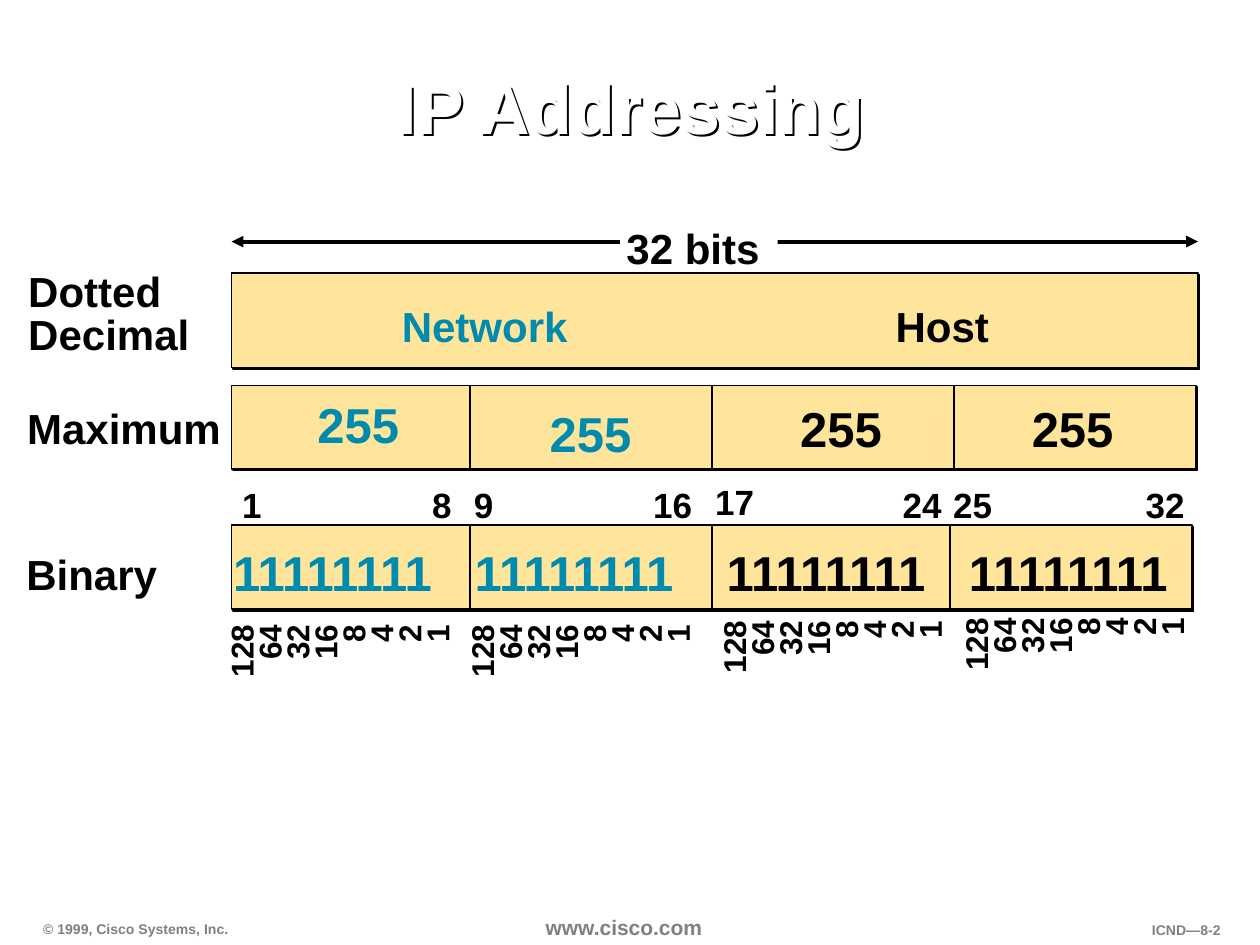
"""Build the IP Addressing slide with its 32-bit address diagram."""
import dataclasses

import lxml.etree
import pptx
import pptx.dml.color
import pptx.enum.shapes
import pptx.enum.text
import pptx.oxml.ns
import pptx.util

Cm, Pt = pptx.util.Cm, pptx.util.Pt
ALIGN, ANCHOR = pptx.enum.text.PP_ALIGN, pptx.enum.text.MSO_ANCHOR
qn = pptx.oxml.ns.qn


@dataclasses.dataclass(frozen=True)
class Theme:
    font: str = "Arial"
    ink: str = "000000"
    paper: str = "FFFFFF"
    network: str = "008AAE"
    cell: str = "FFE59B"
    footer: str = "808080"
    title_size: int = 40
    octet_size: int = 28
    label_size: int = 24
    bit_size: int = 20
    weight_size: int = 18
    url_size: int = 12
    footer_size: int = 8


T = Theme()


def rgb(color):
    return pptx.dml.color.RGBColor.from_string(color)


def add_shadow(sp, points):
    effects = lxml.etree.SubElement(sp._element.spPr, qn("a:effectLst"))
    shadow = lxml.etree.SubElement(effects, qn("a:outerShdw"),
                                   dist=str(Pt(points)), dir="2700000", algn="ctr", rotWithShape="0")
    lxml.etree.SubElement(shadow, qn("a:srgbClr"), val=T.ink)


def add_text(s, text, box, size, color=T.ink, align=ALIGN.LEFT, anchor=ANCHOR.TOP,
             spacing=None, inset=(0.13, 0.2), wrap=False, rotation=0):
    sp = s.shapes.add_textbox(*map(Cm, box))
    sp.rotation = rotation
    tf = sp.text_frame
    tf.word_wrap, tf.vertical_anchor = wrap, anchor
    tf.margin_left = tf.margin_right = Cm(inset[0])
    tf.margin_top = tf.margin_bottom = Cm(inset[1])
    p = tf.paragraphs[0]
    p.alignment = align
    if spacing:
        p.line_spacing = spacing
    for i, line in enumerate(text.split("\n")):
        if i:
            p.add_line_break()
        r = p.add_run()
        r.text = line
        r.font.name, r.font.size, r.font.bold = T.font, Pt(size), True
        r.font.color.rgb = rgb(color)
    p.font.size = Pt(size)
    return sp


def add_rect(shapes, box, color, outlined=True):
    sp = shapes.add_shape(pptx.enum.shapes.MSO_SHAPE.RECTANGLE, *map(Cm, box))
    sp.fill.solid()
    sp.fill.fore_color.rgb = rgb(color)
    if outlined:
        sp.line.color.rgb = rgb(T.ink)
        sp.line.width = Pt(1)
        add_shadow(sp, 1.4)
    else:
        sp.line.fill.background()
        sp.shadow.inherit = False


def add_arrow(s, left, right, y):
    c = s.shapes.add_connector(pptx.enum.shapes.MSO_CONNECTOR.STRAIGHT, Cm(left), Cm(y), Cm(right), Cm(y))
    c.line.color.rgb = rgb(T.ink)
    c.line.width = Pt(2.25)
    for end in ("a:headEnd", "a:tailEnd"):
        lxml.etree.SubElement(c.line._get_or_add_ln(), qn(end), type="triangle")
    lxml.etree.SubElement(c._element.spPr, qn("a:effectLst"))


def add_cells(shapes, lefts, top, height):
    for left in lefts:
        add_rect(shapes, (left, top, 4.88, height), T.cell)


def add_octets(s, text, places):
    for i, (left, top) in enumerate(places):
        add_text(s, text, (left, top, 4.7, 2.11), T.octet_size,
                 T.network if i < 2 else T.ink, spacing=Pt(48.4))


def add_bit_numbers(s):
    lefts = (4.65, 8.48, 9.32, 13.13, 14.38, 18.16, 19.18, 23.06)
    for i, left in enumerate(lefts):
        number = i // 2 * 8 + (8 if i % 2 else 1)
        top = 9.51 if number == 17 else 9.56
        add_text(s, str(number), (left, top, 0.86, 1.22), T.bit_size, align=ALIGN.CENTER,
                 anchor=ANCHOR.MIDDLE, spacing=Pt(23.6), inset=(0, 0))


def add_weights(s):
    weights = "\n".join(str(2 ** n) for n in reversed(range(8)))
    for left, top in ((6.2, 10.74), (11.05, 10.74), (16.13, 10.66), (21.01, 10.61)):
        add_text(s, weights, (left, top, 1.35, 4.8), T.weight_size, align=ALIGN.RIGHT,
                 spacing=Pt(16), rotation=270)


def add_title(s):
    sp = add_text(s, "IP Addressing", (2.13, 0.66, 21.18, 3.18), T.title_size, T.paper,
                  ALIGN.CENTER, ANCHOR.MIDDLE, 0.9, (0.23, 0.1), True)
    add_shadow(sp, 1.6)


def add_footer(s):
    add_text(s, "© 1999, Cisco Systems, Inc.", (0.64, 18.44, 4.27, 0.56), T.footer_size, T.footer,
             anchor=ANCHOR.BOTTOM, inset=(0.23, 0.1))
    add_text(s, "www.cisco.com", (10.8, 18.34, 3.81, 0.71), T.url_size, T.footer,
             inset=(0.2, 0.1), wrap=True)
    add_text(s, "ICND—8-2", (21.79, 18.47, 3.05, 0.56), T.footer_size, T.footer, ALIGN.RIGHT,
             inset=(0.23, 0.1))


def main():
    prs = pptx.Presentation()
    prs.slide_width, prs.slide_height = Cm(25.4), Cm(19.05)
    s = prs.slides.add_slide(prs.slide_layouts[6])
    add_footer(s)
    add_title(s)

    add_arrow(s, 4.67, 24.15, 4.87)
    add_rect(s.shapes, (12.5, 4.24, 3.18, 1.07), T.paper, outlined=False)
    add_text(s, "32 bits", (12.5, 3.59, 3.18, 2.11), T.label_size, spacing=Pt(48.4))

    add_rect(s.shapes, (4.67, 5.51, 19.48, 1.9), T.cell)
    for text, left, width, color in (("Network", 7.85, 3.84, T.network), ("Host", 17.8, 2.39, T.ink)):
        add_text(s, text, (left, 5.93, width, 1.27), T.label_size, color, ALIGN.CENTER, ANCHOR.MIDDLE)

    add_cells(s.shapes, (4.67, 9.47, 14.35, 19.23), 7.77, 1.68)
    add_octets(s, "255", ((6.27, 7.24), (10.95, 7.41), (16, 7.32), (20.67, 7.32)))

    add_cells(s.shapes.add_group_shape().shapes, (4.67, 9.47, 14.35, 19.15), 10.59, 1.69)
    add_octets(s, "1" * 8, [(left, 10.21) for left in (4.57, 9.44, 14.52, 19.4)])
    add_bit_numbers(s)
    add_weights(s)

    for text, left, top, width, align in (("Dotted\nDecimal", 0.44, 5.28, 4, ALIGN.LEFT),
                                          ("Maximum", 0.3, 8.04, 4.4, ALIGN.CENTER),
                                          ("Binary", 0.35, 11, 3, ALIGN.CENTER)):
        add_text(s, text, (left, top, width, 2.34), T.label_size, align=align, spacing=Pt(25))
    prs.save("out.pptx")


if __name__ == "__main__":
    main()
